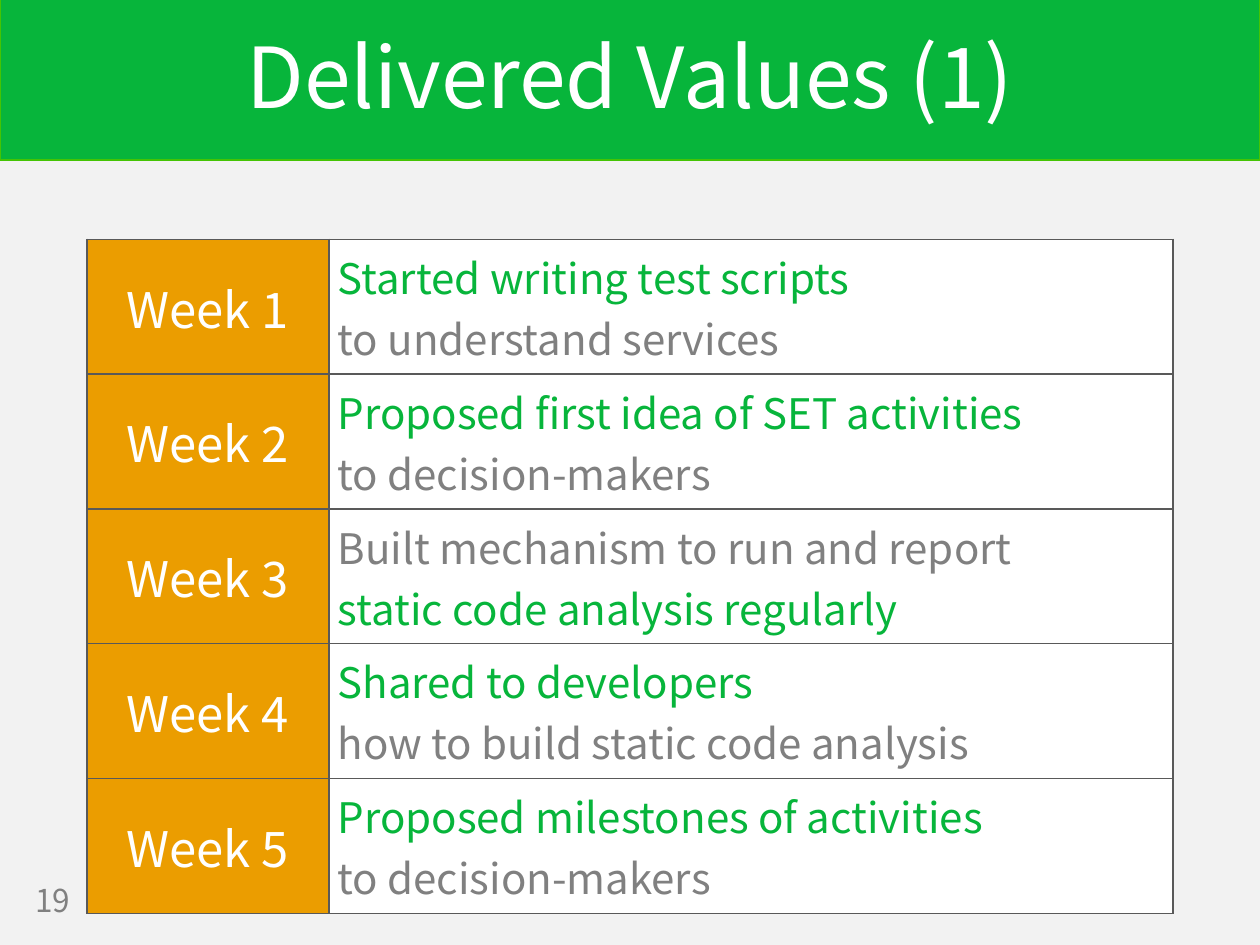
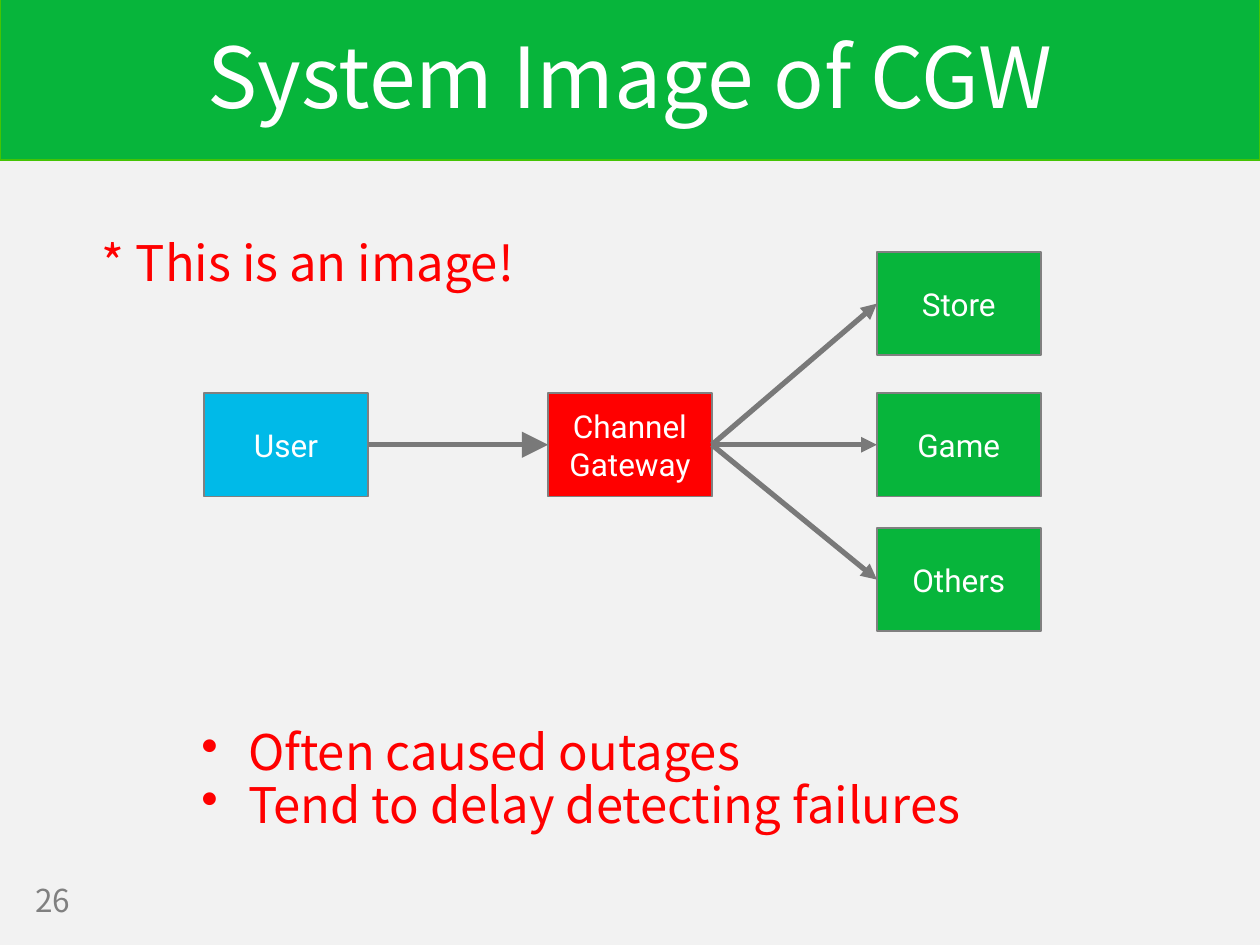
from lxml.etree import SubElement
from pptx import Presentation
from pptx.dml.color import RGBColor
from pptx.enum.shapes import MSO_CONNECTOR as Connector, MSO_SHAPE as Preset
from pptx.enum.text import MSO_ANCHOR as Anchor, MSO_AUTO_SIZE as AutoSize, PP_ALIGN as Align
from pptx.oxml.ns import qn
from pptx.util import Pt

EMU_PER_PX = 9144
TITLE_ONLY = 5
LEFT_SITE, RIGHT_SITE = 1, 3


def px(length):
    return length * EMU_PER_PX


def color(value):
    return RGBColor.from_string(value)


class Deck:
    GREEN, BAND_EDGE, RED, BLUE, ORANGE = "07B53B", "44C404", "FF0000", "00BAE8", "EB9D00"
    WHITE, GRAY, ARROW, BORDER, BACKGROUND = "FFFFFF", "808080", "797979", "595959", "F2F2F2"
    SANS, LABEL = "Noto Sans CJK JP", "Roboto"

    def __init__(self):
        self.presentation = Presentation()
        self.presentation.slide_width = px(1000)
        self.presentation.slide_height = px(750)
        fill = self.presentation.slide_master.background.fill
        fill.solid()
        fill.fore_color.rgb = color(self.BACKGROUND)
        self.slide = None

    def add_slide(self, title_text, number):
        layout = self.presentation.slide_layouts[TITLE_ONLY]
        self.slide = self.presentation.slides.add_slide(layout)
        band = self.box(0, -1, 1000, 128, self.GREEN, self.BAND_EDGE)
        title = self.slide.shapes.title
        title.left, title.top, title.width, title.height = px(0), px(36), px(1000), px(57)
        band.element.addnext(title.element)
        self.fill_frame(title.text_frame, [(title_text, self.WHITE)], 48,
                        align=Align.CENTER, spacing=0.9)
        self.text(18, 695, 79, 39, [(str(number), self.GRAY)], 18)

    def fill_frame(self, frame, lines, size, anchor=Anchor.MIDDLE, **style):
        frame.word_wrap = True
        frame.auto_size = AutoSize.NONE
        frame.vertical_anchor = anchor
        self.fill_lines(frame, lines, size, **style)

    def fill_lines(self, frame, lines, size, font=None, align=Align.LEFT,
                   spacing=None, indent=None, bullet=None):
        for index, (words, ink) in enumerate(lines):
            paragraph = frame.add_paragraph() if index else frame.paragraphs[0]
            properties = paragraph._p.get_or_add_pPr()
            if indent:
                margin, first_line = indent
                properties.set("marL", str(px(margin)))
                properties.set("indent", str(px(first_line)))
            if bullet:
                SubElement(properties, qn("a:buChar")).set("char", bullet)
            paragraph.alignment = align
            if spacing:
                paragraph.line_spacing = spacing
            run = paragraph.add_run()
            run.text = words
            run.font.size = Pt(size)
            run.font.name = font or self.SANS
            run.font.color.rgb = color(ink)

    def text(self, left, top, width, height, lines, size, **style):
        shape = self.slide.shapes.add_textbox(px(left), px(top), px(width), px(height))
        self.fill_frame(shape.text_frame, lines, size, **style)

    def box(self, left, top, width, height, fill, edge, labels=()):
        shape = self.slide.shapes.add_shape(
            Preset.RECTANGLE, px(left), px(top), px(width), px(height))
        shape.shadow.inherit = False
        shape.fill.solid()
        shape.fill.fore_color.rgb = color(fill)
        shape.line.color.rgb = color(edge)
        shape.line.width = Pt(1)
        lines = [(label, self.WHITE) for label in labels]
        self.fill_frame(shape.text_frame, lines, 18, font=self.LABEL, align=Align.CENTER)
        return shape

    def arrow(self, source, target, head="med"):
        connector = self.slide.shapes.add_connector(Connector.STRAIGHT, 0, 0, 0, 0)
        connector.begin_connect(source, RIGHT_SITE)
        connector.end_connect(target, LEFT_SITE)
        connector.line.color.rgb = color(self.ARROW)
        connector.line.width = Pt(3)
        tail = SubElement(connector.line._get_or_add_ln(), qn("a:tailEnd"))
        for name, value in (("type", "triangle"), ("w", head), ("len", head)):
            tail.set(name, value)
        SubElement(connector.element.spPr, qn("a:effectLst"))

    def cell(self, cell, lines, size, fill, align=Align.LEFT):
        properties = cell._tc.get_or_add_tcPr()
        for side in ("lnL", "lnR", "lnT", "lnB"):
            border = SubElement(properties, qn(f"a:{side}"))
            border.set("w", str(Pt(1)))
            solid = SubElement(border, qn("a:solidFill"))
            SubElement(solid, qn("a:srgbClr")).set("val", self.BORDER)
        cell.fill.solid()
        cell.fill.fore_color.rgb = color(fill)
        cell.margin_left = cell.margin_right = px(7)
        cell.margin_top = cell.margin_bottom = px(5)
        cell.vertical_anchor = Anchor.MIDDLE
        self.fill_lines(cell.text_frame, lines, size, align=align)

    def week_table(self, left, top, widths, row_height, weeks):
        frame = self.slide.shapes.add_table(
            len(weeks), len(widths), px(left), px(top), px(sum(widths)), px(row_height * len(weeks)))
        table = frame.table
        table.first_row = table.horz_banding = False
        for column, width in zip(table.columns, widths):
            column.width = px(width)
        for index, lines in enumerate(weeks):
            week = [(f"Week {index + 1}", self.WHITE)]
            self.cell(table.cell(index, 0), week, 28, self.ORANGE, Align.CENTER)
            self.cell(table.cell(index, 1), lines, 24, self.WHITE)


def delivered_values(deck):
    deck.add_slide("Delivered Values (1)", 19)
    key, plain = deck.GREEN, deck.GRAY
    deck.week_table(69, 190, (192, 670), 107, [
        [("Started writing test scripts", key), ("to understand services", plain)],
        [("Proposed first idea of SET activities", key), ("to decision-makers", plain)],
        [("Built mechanism to run and report", plain), ("static code analysis regularly", key)],
        [("Shared to developers", key), ("how to build static code analysis", plain)],
        [("Proposed milestones of activities", key), ("to decision-makers", plain)],
    ])


def system_image(deck):
    deck.add_slide("System Image of CGW", 26)
    problems = ("Often caused outages", "Tend to delay detecting failures")
    deck.text(69, 185, 862, 482, [(problem, deck.RED) for problem in problems], 28,
              anchor=Anchor.BOTTOM, spacing=0.9, indent=(118, -37), bullet="•")
    deck.text(69, 185, 862, 51, [("* This is an image!", deck.RED)], 28,
              spacing=0.9, indent=(2, 0))

    def node(left, top, fill, *labels):
        return deck.box(left, top, 130, 82, fill, deck.GRAY, labels)

    user = node(162, 312, deck.BLUE, "User")
    gateway = node(435, 312, deck.RED, "Channel", "Gateway")
    deck.arrow(user, gateway, head="lg")
    for top, service in ((200, "Store"), (312, "Game"), (419, "Others")):
        deck.arrow(gateway, node(696, top, deck.GREEN, service))


def main():
    deck = Deck()
    delivered_values(deck)
    system_image(deck)
    deck.presentation.save("out.pptx")


if __name__ == "__main__":
    main()
